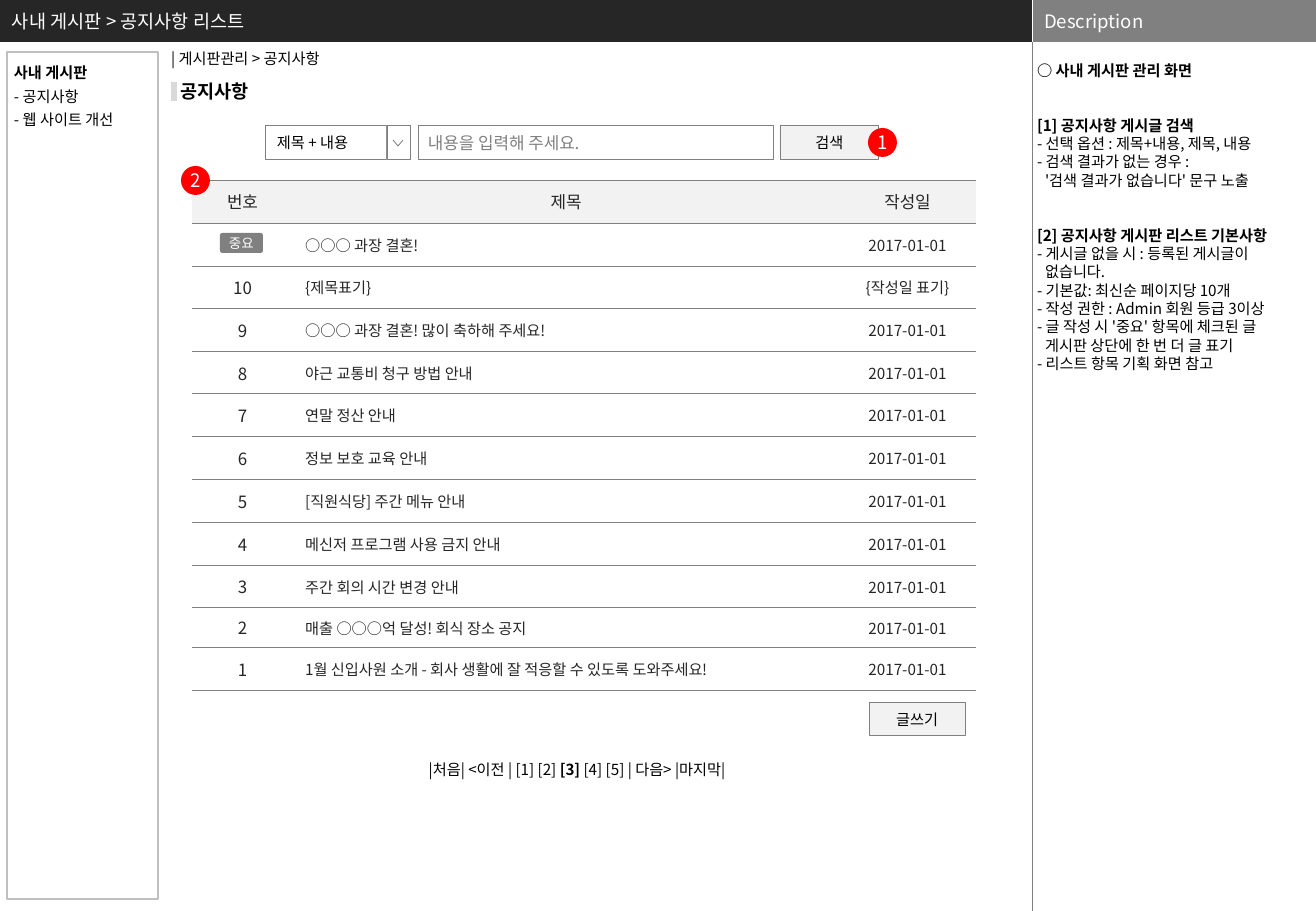
from dataclasses import dataclass

from lxml.etree import SubElement
from pptx import Presentation
from pptx.dml.color import RGBColor
from pptx.enum.shapes import MSO_CONNECTOR as Connector, MSO_SHAPE as Shape
from pptx.enum.text import MSO_ANCHOR as Anchor, PP_ALIGN as Align
from pptx.oxml.ns import qn
from pptx.util import Emu, Pt

FONT = "Noto Sans CJK KR"
BLACK, INK, GRAY, PALE, WHITE, RED = "000000", "262626", "808080", "F2F2F2", "FFFFFF", "FF0000"
ROW_HEIGHTS = [43] * 4 + [42] + [43] * 4 + [42, 40, 43]
COLUMN_WIDTHS = [101, 546, 137]
DATE = "2017-01-01"
POSTS = [
    ("번호", "제목", "작성일"),
    ("", "○○○ 과장 결혼!", DATE),
    ("10", "{제목표기}", "{작성일 표기}"),
    ("9", "○○○ 과장 결혼! 많이 축하해 주세요!", DATE),
    ("8", "야근 교통비 청구 방법 안내", DATE),
    ("7", "연말 정산 안내", DATE),
    ("6", "정보 보호 교육 안내", DATE),
    ("5", "[직원식당] 주간 메뉴 안내", DATE),
    ("4", "메신저 프로그램 사용 금지 안내", DATE),
    ("3", "주간 회의 시간 변경 안내", DATE),
    ("2", "매출 ○○○억 달성! 회식 장소 공지", DATE),
    ("1", "1월 신입사원 소개 - 회사 생활에 잘 적응할 수 있도록 도와주세요!", DATE),
]


@dataclass
class Para:
    text: str
    bold: bool = False
    emphasis: str = ""
    gap: float = 0


@dataclass
class Box:
    x: int
    y: int
    w: int
    h: int
    paras: tuple[Para, ...] = ()
    size: float = 9
    color: str = BLACK
    fill: str = ""
    line: str = ""
    line_pt: float = 0.5
    kind: Shape | None = Shape.RECTANGLE
    align: Align = Align.CENTER
    anchor: Anchor = Anchor.MIDDLE
    inset: tuple[int, int] = (0, 0)
    spacing: float = 0
    hang: int = 0


DESCRIPTION = (
    Para("○ 사내 게시판 관리 화면", True),
    Para("[1] 공지사항 게시글 검색", True, gap=21.7),
    Para("- 선택 옵션 : 제목+내용, 제목, 내용"),
    Para("- 검색 결과가 없는 경우 :\v'검색 결과가 없습니다' 문구 노출"),
    Para("[2] 공지사항 게시판 리스트 기본사항", True, gap=21.7),
    Para("- 게시글 없을 시 : 등록된 게시글이\v없습니다."),
    Para("- 기본값: 최신순 페이지당 10개"),
    Para("- 작성 권한 : Admin 회원 등급 3이상"),
    Para("- 글 작성 시 '중요' 항목에 체크된 글\v게시판 상단에 한 번 더 글 표기"),
    Para("- 리스트 항목 기획 화면 참고"),
)
MENU = (Para("사내 게시판", True), Para("- 공지사항"), Para("- 웹 사이트 개선"))
PAGER = (Para("|처음| <이전 | [1] [2] [3] [4] [5] | 다음> |마지막|", emphasis="[3]"),)


def px(length: int) -> Emu:
    """Turn a length in px into EMU."""
    return Emu(round(length * 914400 / 121.5))


def rgb(value: str) -> RGBColor:
    """Turn a hex string into a colour."""
    return RGBColor.from_string(value)


def style_run(run, size: float, color: str, bold: bool = False) -> None:
    """Set the font of one run for Latin and Korean letters."""
    run.font.size, run.font.bold, run.font.name = Pt(size), bold, FONT
    run.font.color.rgb = rgb(color)
    SubElement(run.font._element, qn("a:ea"), typeface=FONT)


def write(frame, box: Box) -> None:
    """Fill a text frame with the paragraphs of a box."""
    frame.word_wrap, frame.vertical_anchor = True, box.anchor
    frame.margin_left = frame.margin_right = px(box.inset[0])
    frame.margin_top = frame.margin_bottom = px(box.inset[1])
    for index, para in enumerate(box.paras):
        line = frame.add_paragraph() if index else frame.paragraphs[0]
        if para.emphasis:
            for piece in para.text.partition(para.emphasis):
                line.add_run().text = piece
        else:
            line.text = para.text
        line.alignment = box.align
        if box.spacing:
            line.line_spacing = Pt(box.spacing)
        if para.gap:
            line.space_before = Pt(para.gap)
        if box.hang:
            properties = line._p.get_or_add_pPr()
            properties.set("marL", str(px(box.hang)))
            properties.set("indent", str(-px(box.hang)))
        for run in line.runs:
            style_run(run, box.size, box.color, para.bold or run.text == para.emphasis)


def draw_box(shapes, box: Box) -> None:
    """Draw a shape, or a plain text box when it has no kind."""
    place = [px(length) for length in (box.x, box.y, box.w, box.h)]
    if box.kind is None:
        write(shapes.add_textbox(*place).text_frame, box)
        return
    shape = shapes.add_shape(box.kind, *place)
    paint(shape, box.fill, box.line, box.line_pt)
    if box.kind == Shape.ROUNDED_RECTANGLE:
        shape.adjustments[0] = 0.12
    if box.paras:
        write(shape.text_frame, box)


def paint(shape, fill: str, line: str, line_pt: float = 0.5) -> None:
    """Set the fill and outline of a shape and drop its shadow."""
    shape.shadow.inherit = False
    if fill:
        shape.fill.solid()
        shape.fill.fore_color.rgb = rgb(fill)
    else:
        shape.fill.background()
    if line:
        shape.line.color.rgb, shape.line.width = rgb(line), Pt(line_pt)
    else:
        shape.line.fill.background()


def draw_divider(shapes, x: int, top: int, bottom: int, color: str) -> None:
    """Draw a thin vertical line."""
    divider = shapes.add_connector(Connector.STRAIGHT, px(x), px(top), px(x), px(bottom))
    divider.line.color.rgb, divider.line.width = rgb(color), Pt(0.25)
    SubElement(divider._element.spPr, qn("a:effectLst"))


def rule_cell(cell) -> None:
    """Give a cell lines above and below and none at its sides."""
    properties = cell._tc.get_or_add_tcPr()
    for side in ("lnL", "lnR"):
        SubElement(SubElement(properties, qn(f"a:{side}"), w="0"), qn("a:noFill"))
    for side in ("lnT", "lnB"):
        edge = SubElement(properties, qn(f"a:{side}"), w=str(Pt(0.5)))
        SubElement(SubElement(edge, qn("a:solidFill")), qn("a:srgbClr"), val=GRAY)


def draw_posts(shapes) -> None:
    """Draw the table of notices."""
    posts = shapes.add_table(len(POSTS), len(COLUMN_WIDTHS), px(192), px(180),
                             px(sum(COLUMN_WIDTHS)), px(sum(ROW_HEIGHTS))).table
    posts.first_row = posts.horz_banding = False
    for column, width in zip(posts.columns, COLUMN_WIDTHS):
        column.width = px(width)
    for r, (row, height, post) in enumerate(zip(posts.rows, ROW_HEIGHTS, POSTS)):
        row.height = px(height)
        for c, (cell, text) in enumerate(zip(row.cells, post)):
            rule_cell(cell)
            if r == 0:
                cell.fill.solid()
                cell.fill.fore_color.rgb = rgb(PALE)
            else:
                cell.fill.background()
            cell.vertical_anchor = Anchor.MIDDLE
            line = cell.text_frame.paragraphs[0]
            line.alignment = Align.LEFT if r and c == 1 else Align.CENTER
            if text:
                line.text = text
                style_run(line.runs[0], 10 if r == 0 or c == 0 else 9, INK)
            else:
                SubElement(line._p, qn("a:endParaRPr"), sz="1000")


def label(x: int, y: int, w: int, h: int, text: str, **look) -> Box:
    """Describe a box with one line of text."""
    return Box(x, y, w, h, (Para(text, look.pop("bold", False)),), **look)


def main() -> None:
    """Build the notice list screen."""
    deck = Presentation()
    deck.slide_width, deck.slide_height = px(1316), px(911)
    shapes = deck.slides.add_slide(deck.slide_layouts[6]).shapes
    left = {"align": Align.LEFT}
    plain = {"kind": None, **left}
    top = {"anchor": Anchor.TOP, **left}
    button = {"fill": PALE, "line": GRAY, "inset": (5, 5)}
    field = {"fill": WHITE, "line": GRAY, **left}
    badge = {"kind": Shape.OVAL, "fill": RED, "color": WHITE, "size": 11}
    heading = {"size": 11, "color": WHITE, "inset": (12, 6), **left}

    draw_box(shapes, label(0, 0, 1032, 42, "사내 게시판 > 공지사항 리스트", fill=INK, **heading))
    draw_box(shapes, label(1032, 0, 284, 42, "Description", fill=GRAY, **heading))
    draw_divider(shapes, 1032, 0, 42, WHITE)
    draw_divider(shapes, 1032, 42, 911, GRAY)
    draw_posts(shapes)
    for box in (
        Box(1032, 61, 284, 850, DESCRIPTION, kind=None, inset=(5, 0), spacing=10.85, hang=8, **top),
        label(159, 43, 220, 30, "| 게시판관리 > 공지사항", inset=(12, 6), **plain),
        label(180, 80, 100, 23, "공지사항", size=11, bold=True, **plain),
        Box(171, 82, 6, 19, fill="D9D9D9"),
        Box(7, 52, 151, 847, MENU, line="BFBFBF", line_pt=0.75, inset=(7, 6), spacing=14, **top),
        label(220, 233, 43, 20, "중요", kind=Shape.ROUNDED_RECTANGLE, fill=GRAY, color=WHITE, size=8),
        Box(377, 754, 400, 30, PAGER, kind=None),
        label(869, 703, 96, 33, "글쓰기", **button),
        label(181, 166, 29, 29, "2", **badge),
        label(418, 125, 356, 35, "내용을 입력해 주세요.", size=10, color=GRAY, inset=(10, 5), **field),
        label(780, 125, 99, 35, "검색", **button),
        label(868, 128, 29, 29, "1", **badge),
        label(265, 125, 122, 35, "제목 + 내용", inset=(12, 7), **field),
        Box(387, 125, 23, 35, **field),
    ):
        draw_box(shapes, box)
    arrow = shapes.build_freeform(px(403), px(140), scale=1.0)
    arrow.add_line_segments([(px(398), px(146)), (px(393), px(140))], close=False)
    paint(arrow.convert_to_shape(), WHITE, GRAY)
    deck.save("out.pptx")


if __name__ == "__main__":
    main()
